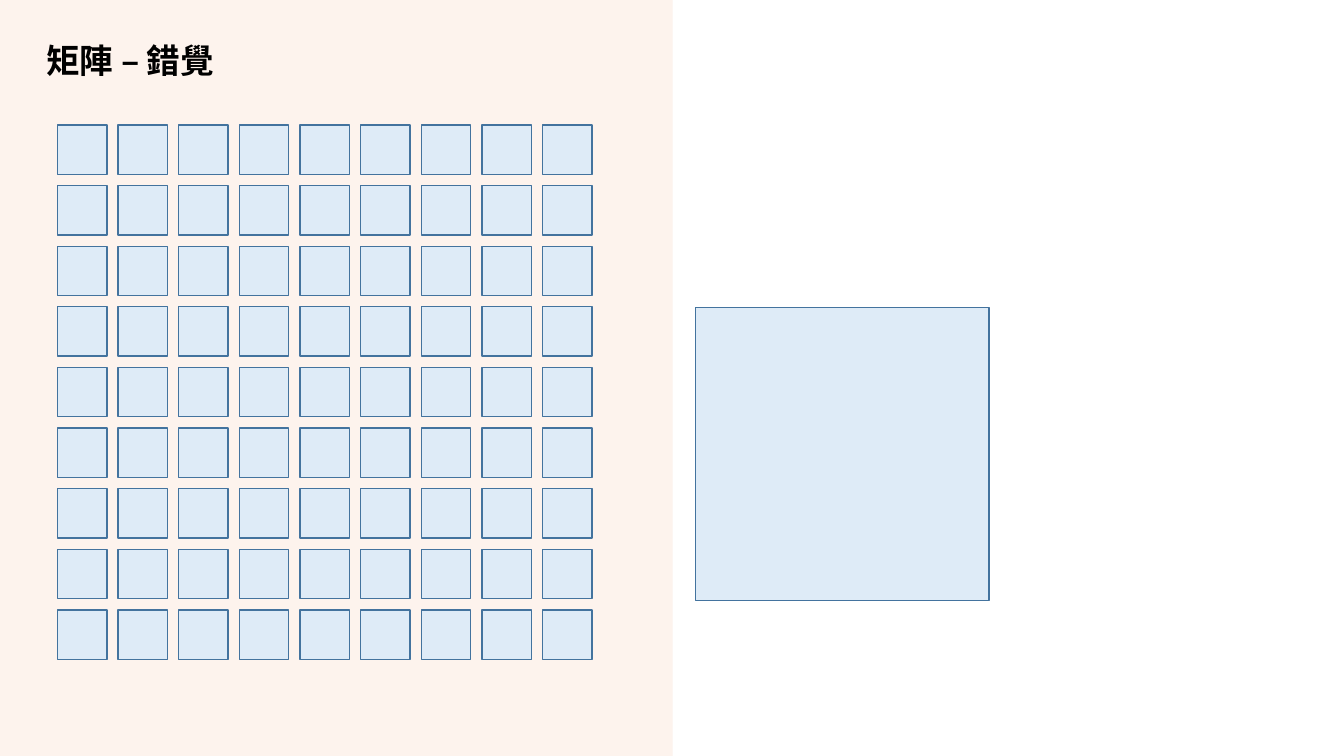
from lxml import etree
from pptx import Presentation
from pptx.dml.color import RGBColor
from pptx.enum.shapes import MSO_CONNECTOR, MSO_SHAPE
from pptx.enum.text import MSO_ANCHOR
from pptx.oxml.ns import qn
from pptx.util import Inches, Pt

RECTANGLE = MSO_SHAPE.RECTANGLE
STRAIGHT = MSO_CONNECTOR.STRAIGHT
MIDDLE = MSO_ANCHOR.MIDDLE

ORANGE = RGBColor(0xF4, 0xB1, 0x83)
PALE_ORANGE = RGBColor(0xFB, 0xE5, 0xD6)
PALE_BLUE = RGBColor(0xDE, 0xEB, 0xF7)
BLUE = RGBColor(0x43, 0x73, 0x9E)
BLACK = RGBColor(0x00, 0x00, 0x00)
FONT = "Noto Sans CJK SC"

GRID_SIZE = 9
GRID_LEFT, GRID_TOP = 0.57, 1.24
CELL = 0.49
PITCH = (5.38 - GRID_LEFT) / (GRID_SIZE - 1)


def set_opacity(color_format_parent, percent):
    color = next(color_format_parent.iter(qn("a:srgbClr")))
    etree.SubElement(color, qn("a:alpha")).set("val", str(percent * 1000))


def add_square(left, top, side):
    square = slide.shapes.add_shape(
        RECTANGLE, Inches(left), Inches(top), Inches(side), Inches(side))
    square.shadow.inherit = False
    square.fill.solid()
    square.fill.fore_color.rgb = PALE_BLUE
    square.line.color.rgb = BLUE
    square.line.width = Pt(1)


prs = Presentation()
prs.slide_width, prs.slide_height = Inches(13.33), Inches(7.5)
slide = prs.slides.add_slide(prs.slide_layouts[6])

# Tinted left half
left_half = slide.shapes.add_shape(RECTANGLE, 0, 0, Inches(6.67), Inches(7.5))
left_half.shadow.inherit = False
left_half.fill.solid()
left_half.fill.fore_color.rgb = ORANGE
left_half.line.fill.background()
set_opacity(left_half._element.spPr, 14)

# Divider between the halves
divider = slide.shapes.add_connector(
    STRAIGHT, Inches(6.67), Inches(7.5), Inches(6.67), 0)
divider.line.color.rgb = PALE_ORANGE
divider.line.width = Pt(0.25)
set_opacity(divider._element.spPr, 50)
etree.SubElement(divider._element.spPr, qn("a:effectLst"))

# Title
title = slide.shapes.add_textbox(
    Inches(0.36), Inches(0.4), Inches(5.95), Inches(0.44))
title_frame = title.text_frame
title_frame.word_wrap = True
title_frame.vertical_anchor = MIDDLE
title_frame.text = "矩陣 – 錯覺"
title_line = title_frame.paragraphs[0]
title_line.line_spacing = 0.9
title_run = title_line.runs[0]
title_run.font.size = Pt(24)
title_run.font.bold = True
title_run.font.color.rgb = BLACK
title_run.font.name = FONT
etree.SubElement(title_run._r.get_or_add_rPr(), qn("a:ea")).set("typeface", FONT)

# Matrix of small squares
for row in range(GRID_SIZE):
    for column in range(GRID_SIZE):
        add_square(GRID_LEFT + column * PITCH, GRID_TOP + row * PITCH, CELL)

# Large square on the right half
add_square(6.9, 3.05, 2.91)

prs.save("out.pptx")
